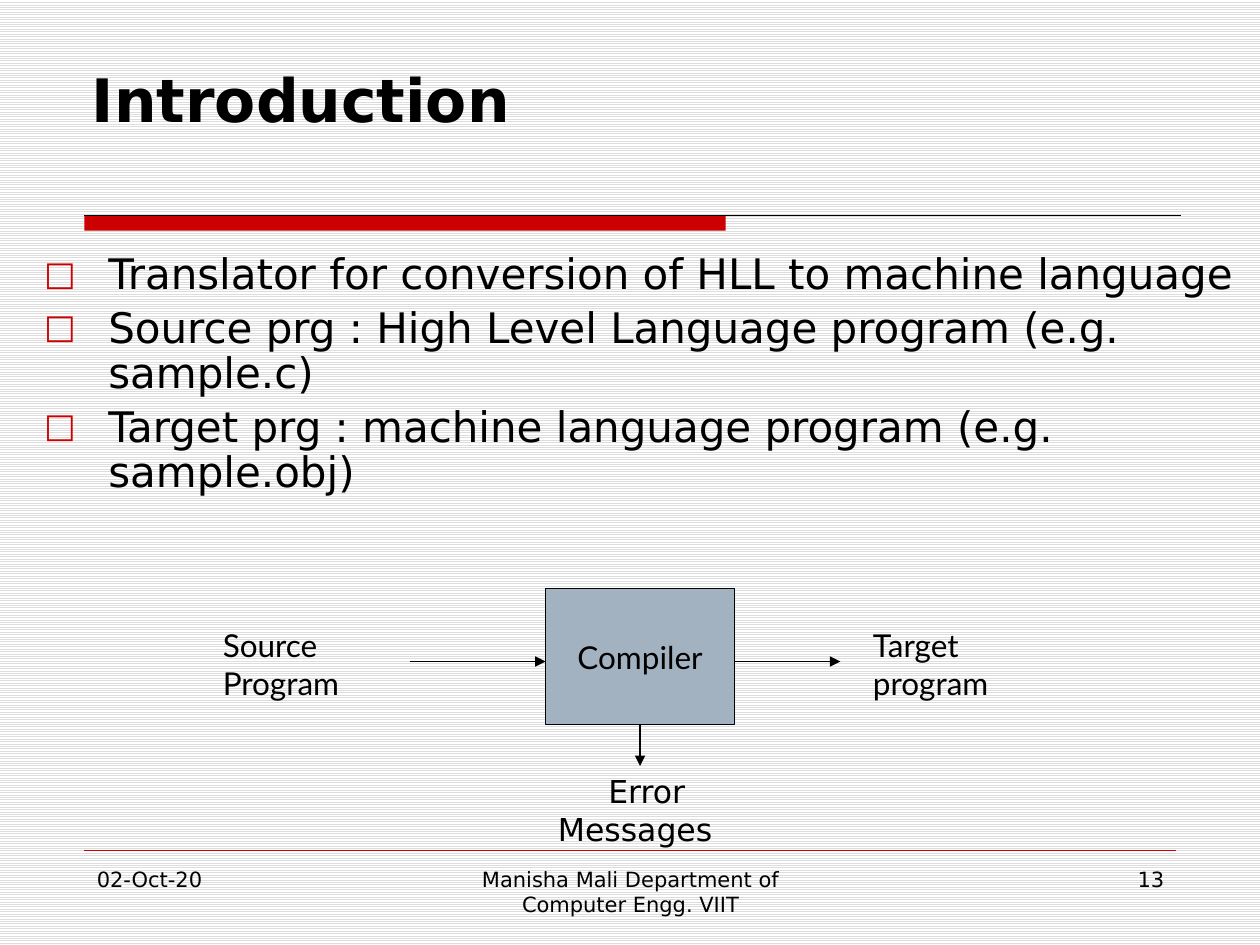
from lxml.etree import SubElement
from pptx import Presentation
from pptx.dml.color import RGBColor
from pptx.enum.dml import MSO_PATTERN
from pptx.enum.shapes import MSO_CONNECTOR, MSO_SHAPE
from pptx.enum.text import MSO_ANCHOR, MSO_AUTO_SIZE, PP_ALIGN
from pptx.oxml.ns import qn
from pptx.util import Inches, Pt

RED, BLACK, STEEL = "CC0000", "000000", "A3B2C1"
SANS, LATO = "DejaVu Sans", "Lato"


def color(value):
    return RGBColor.from_string(value)


def apply(target, values):
    for name, value in values.items():
        setattr(target, name, value)


class SlideBuilder:
    """Hold the slide style and draw each kind of element on the current slide."""

    def __init__(self, deck):
        self.page = deck.slides.add_slide(deck.slide_layouts[1])
        self.frame_format = {
            "word_wrap": True,
            "auto_size": MSO_AUTO_SIZE.NONE,
            "vertical_anchor": MSO_ANCHOR.TOP,
        }

    def background(self, pattern, front, back):
        fill = self.page.background.fill
        fill.patterned()
        fill.pattern = pattern
        fill.fore_color.rgb = color(front)
        fill.back_color.rgb = color(back)

    def set_text(self, box, lines, size, font=SANS, bold=False, frame=None, para_format=None):
        text_frame = box.text_frame
        apply(text_frame, {**self.frame_format, **(frame or {})})
        text_frame.text = "\n".join(lines)
        for para in text_frame.paragraphs:
            apply(para, {"alignment": PP_ALIGN.LEFT, **(para_format or {})})
            for span in para.runs:
                apply(span.font, {"size": Pt(size), "name": font, "bold": bold})
                span.font.color.rgb = color(BLACK)
        return text_frame.paragraphs

    def place(self, box, left, top, width, height):
        apply(box, {
            "left": Inches(left), "top": Inches(top),
            "width": Inches(width), "height": Inches(height),
        })

    def title(self, text, area):
        box = self.page.shapes.title
        self.place(box, *area)
        self.set_text(box, [text], 34.2, bold=True, frame={"margin_top": Inches(0.17)})

    def bullets(self, lines, area, indent):
        box = self.page.placeholders[1]
        self.place(box, *area)
        spacing = {"line_spacing": 0.9, "space_before": Pt(4.8)}
        for para in self.set_text(box, lines, 24, para_format=spacing):
            props = self.indent(para, indent, -indent)
            SubElement(SubElement(props, qn("a:buClr")), qn("a:srgbClr"), val=RED)
            SubElement(props, qn("a:buSzPct"), val="80000")
            SubElement(props, qn("a:buFont"), typeface=SANS)
            SubElement(props, qn("a:buChar"), char="□")

    def indent(self, para, margin, first_line):
        props = para._p.get_or_add_pPr()
        props.set("marL", str(Inches(margin)))
        props.set("indent", str(Inches(first_line)))
        return props

    def label(self, lines, area, size=18, font=SANS, align=PP_ALIGN.LEFT, first_line=0):
        box = self.page.shapes.add_textbox(*map(Inches, area))
        for para in self.set_text(box, lines, size, font, para_format={"alignment": align}):
            if first_line:
                self.indent(para, 0, first_line)

    def block(self, area, fill, line=None, text=None):
        box = self.page.shapes.add_shape(MSO_SHAPE.RECTANGLE, *map(Inches, area))
        box.shadow.inherit = False
        box.fill.solid()
        box.fill.fore_color.rgb = color(fill)
        if line:
            box.line.color.rgb = color(line)
            box.line.width = Pt(0.75)
        else:
            box.line.fill.background()
        if text:
            self.set_text(box, [text], 18, LATO,
                          frame={"vertical_anchor": MSO_ANCHOR.MIDDLE, "word_wrap": False},
                          para_format={"alignment": PP_ALIGN.CENTER})

    def line(self, start, end, stroke=BLACK, width=0.75, arrow=False):
        connector = self.page.shapes.add_connector(
            MSO_CONNECTOR.STRAIGHT, *map(Inches, (*start, *end)))
        connector.line.color.rgb = color(stroke)
        connector.line.width = Pt(width)
        props = connector._element.spPr
        if arrow:
            SubElement(props.find(qn("a:ln")), qn("a:tailEnd"), type="triangle")
        SubElement(props, qn("a:effectLst"))


def main():
    deck = Presentation()
    apply(deck, {"slide_width": Inches(10), "slide_height": Inches(7.5)})
    slide = SlideBuilder(deck)
    slide.background(MSO_PATTERN.LIGHT_HORIZONTAL, "DDDDDD", "FFFFFF")

    slide.block((0.67, 1.71, 5.09, 0.12), RED)
    slide.line((0.67, 1.71), (9.37, 1.71))
    slide.line((0.67, 6.75), (9.33, 6.75), RED, 0.25)

    slide.title("Introduction", (0.63, 0.33, 8.75, 1.33))
    slide.bullets([
        "Translator for conversion of HLL to machine language",
        "Source prg : High Level Language program (e.g. sample.c)",
        "Target prg : machine language program (e.g. sample.obj)",
    ], (0.25, 1.96, 9.75, 2.67), 0.51)

    slide.block((4.33, 4.67, 1.5, 1.08), STEEL, BLACK, "Compiler")
    for start, end in (
        ((3.25, 5.25), (4.33, 5.25)),
        ((5.83, 5.25), (6.67, 5.25)),
        ((5.08, 5.75), (5.08, 6.08)),
    ):
        slide.line(start, end, arrow=True)
    slide.label(["Source", "Program"], (1.67, 4.92, 1.67, 0.91), font=LATO)
    slide.label(["Target", "program"], (6.83, 4.92, 1.58, 0.91), font=LATO)
    slide.label(["Error Messages"], (4.33, 6.08, 1.58, 0.91), first_line=0.4)

    for text, left, width, align in (
        ("13", 7.17, 2.17, PP_ALIGN.RIGHT),
        ("Manisha Mali Department of Computer Engg. VIIT", 3.42, 3.17, PP_ALIGN.CENTER),
        ("02-Oct-20", 0.67, 2.17, PP_ALIGN.LEFT),
    ):
        slide.label([text], (left, 6.83, width, 0.52), 12, align=align)

    deck.save("out.pptx")


if __name__ == "__main__":
    main()
